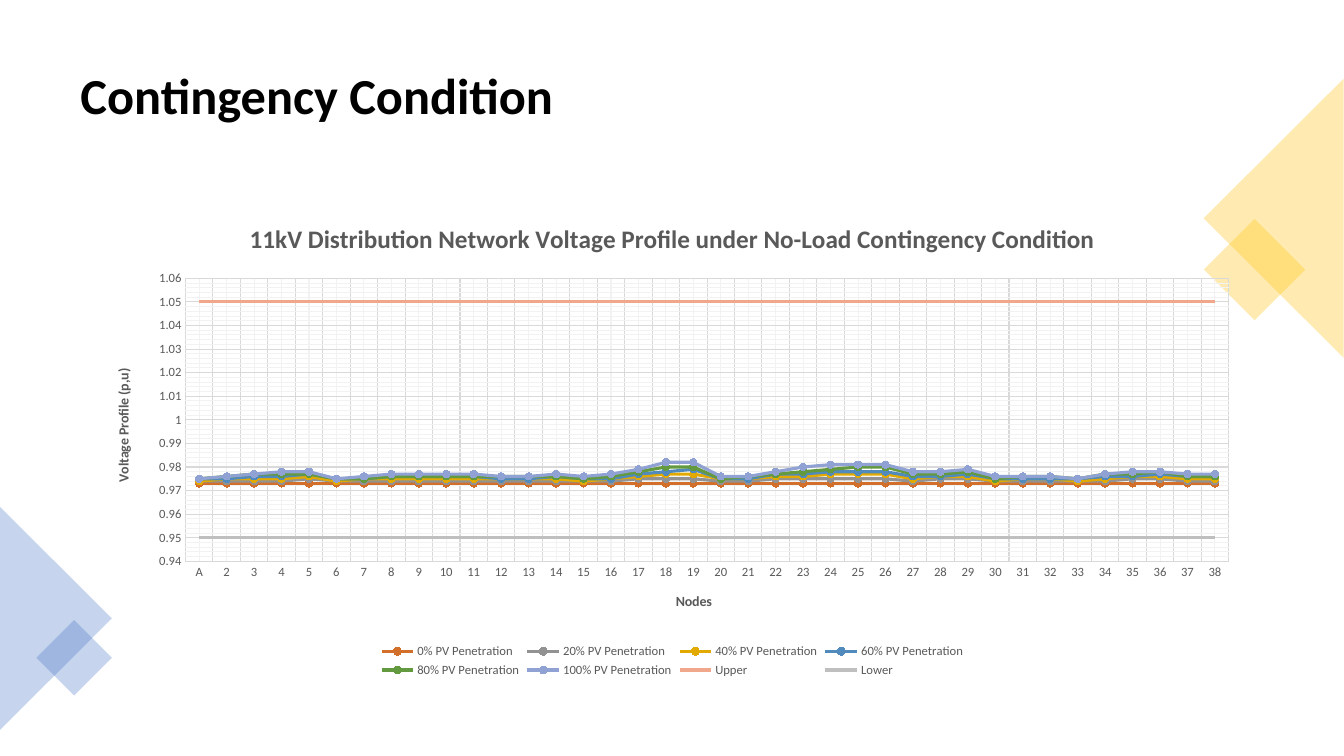
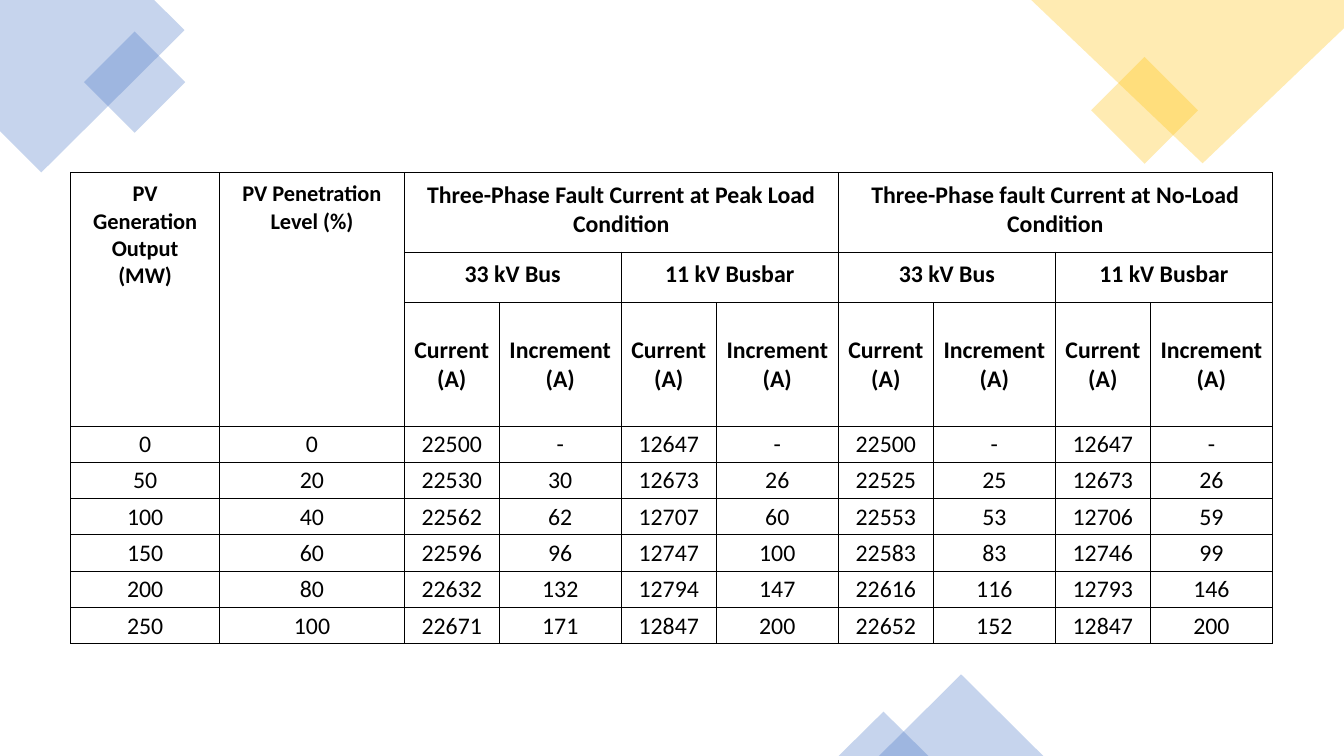
"""Build two slides on grid voltage and fault current under rising PV penetration."""
from pptx import Presentation
from pptx.chart.data import CategoryChartData
from pptx.dml.color import RGBColor
from pptx.enum.chart import XL_CHART_TYPE, XL_LEGEND_POSITION, XL_MARKER_STYLE, XL_TICK_MARK
from pptx.enum.shapes import MSO_SHAPE
from pptx.enum.text import MSO_ANCHOR, PP_ALIGN
from pptx.oxml import parse_xml
from pptx.oxml.ns import nsdecls, qn
from pptx.util import Inches, Pt

SQUARE, TRIANGLE = MSO_SHAPE.RECTANGLE, MSO_SHAPE.ISOSCELES_TRIANGLE
CIRCLE, NO_MARKER = XL_MARKER_STYLE.CIRCLE, XL_MARKER_STYLE.NONE
NO_TICK = XL_TICK_MARK.NONE
MIDDLE, TOP, CENTER = MSO_ANCHOR.MIDDLE, MSO_ANCHOR.TOP, PP_ALIGN.CENTER

BLACK = RGBColor(0x00, 0x00, 0x00)
GREY = RGBColor(0x59, 0x59, 0x59)
GRID_GREY = RGBColor(0xD9, 0xD9, 0xD9)
MINOR_GREY = RGBColor(0xF2, 0xF2, 0xF2)
BLUE = RGBColor(0x44, 0x72, 0xC4)
GOLD = RGBColor(0xFF, 0xC0, 0x00)
ORANGE = RGBColor(0xD2, 0x6F, 0x2B)
ASH = RGBColor(0x92, 0x92, 0x92)
AMBER = RGBColor(0xE2, 0xAA, 0x00)
STEEL = RGBColor(0x51, 0x8A, 0xBD)
GREEN = RGBColor(0x63, 0x9A, 0x3F)
LAVENDER = RGBColor(0x90, 0xA2, 0xD3)
SALMON = RGBColor(0xF1, 0xA7, 0x8B)
SILVER = RGBColor(0xBF, 0xBF, 0xBF)
FONT = "Calibri"

deck = Presentation()
deck.slide_width, deck.slide_height = Inches(13.333), Inches(7.5)
COLUMN, ROW = deck.slide_width / 100, deck.slide_height / 100


def place(left, top, *size):
    """Turn percentages of the slide, in x and y pairs, into lengths."""
    return [round(share * (ROW if i % 2 else COLUMN)) for i, share in enumerate((left, top, *size))]


def style(font, size, color, bold=False):
    """Set the whole look of a font."""
    font.name, font.size, font.bold = FONT, Pt(size), bold
    font.color.rgb = color


profile_slide, fault_slide = [deck.slides.add_slide(deck.slide_layouts[6]) for _ in range(2)]

corner_pieces = [
    (profile_slide, SQUARE, (90.68, 30.93, 5.33, 9.47), 45, GOLD),
    (profile_slide, TRIANGLE, (84.38, 19.6, 20.78, 18.53), 270, GOLD),
    (profile_slide, TRIANGLE, (-4.13, 74.4, 16.58, 14.8), 90, BLUE),
    (profile_slide, SQUARE, (3.53, 83.47, 3.98, 7.07), 45, BLUE),
    (fault_slide, SQUARE, (7.35, 6.13, 5.33, 9.47), 45, BLUE),
    (fault_slide, SQUARE, (82.35, 9.6, 5.63, 10), 45, GOLD),
    (fault_slide, TRIANGLE, (65.4, 89.2, 12.23, 10.8), 0, BLUE),
    (fault_slide, TRIANGLE, (62.4, 94.13, 6.68, 5.87), 0, BLUE),
]
cut_corners = [
    ([(0, 0), (11.48, 0), (13.73, 4), (3.08, 22.8), (0, 17.33)], BLUE),
    ([(100, 0), (76.73, 0), (89.48, 21.6), (100, 3.73)], GOLD),
]
decorations = []
for slide, outline, box, angle, color in corner_pieces:
    piece = slide.shapes.add_shape(outline, *place(*box))
    piece.rotation = angle
    decorations.append((piece, color))
for corners, color in cut_corners:
    start, *others = [place(*corner) for corner in corners]
    outline = fault_slide.shapes.build_freeform(*start)
    outline.add_line_segments(others, close=True)
    decorations.append((outline.convert_to_shape(), color))
for piece, color in decorations:
    piece.shadow.inherit = False
    piece.line.fill.background()
    piece.fill.solid()
    piece.fill.fore_color.rgb = color
    tint = piece.fill._xPr.find(qn("a:solidFill"))[0]
    tint.append(parse_xml(f'<a:alpha {nsdecls("a")} val="30000"/>'))

heading = profile_slide.shapes.add_textbox(*place(5.25, 4.67, 89.5, 16.53)).text_frame
heading.word_wrap = True
heading.vertical_anchor = MIDDLE
heading.paragraphs[0].line_spacing = 0.9
heading_run = heading.paragraphs[0].add_run()
heading_run.text = "Contingency Condition"
style(heading_run.font, 36, BLACK, True)

NODES = ["A"] + [str(node) for node in range(2, 39)]
voltages = [
    ("0% PV Penetration", ORANGE, [973] * len(NODES)),
    ("20% PV Penetration", ASH, [
        974, 974, 974, 974, 975, 974, 974, 974, 974, 974, 974, 974, 974,
        974, 974, 974, 975, 975, 975, 974, 974, 975, 975, 975, 975, 975,
        974, 975, 975, 974, 974, 974, 974, 974, 975, 975, 974, 974]),
    ("40% PV Penetration", AMBER, [
        974, 975, 975, 975, 976, 974, 975, 975, 975, 975, 975, 975, 975,
        975, 974, 975, 976, 977, 977, 975, 975, 976, 976, 977, 977, 977,
        975, 976, 976, 974, 975, 975, 974, 975, 976, 976, 975, 975]),
    ("60% PV Penetration", STEEL, [
        975, 975, 976, 976, 977, 975, 975, 976, 976, 976, 976, 975, 975,
        976, 975, 975, 977, 978, 979, 975, 975, 977, 977, 978, 978, 978,
        976, 976, 977, 975, 975, 975, 975, 976, 976, 977, 976, 976]),
    ("80% PV Penetration", GREEN, [
        975, 976, 977, 977, 977, 975, 975, 976, 976, 976, 976, 976, 976,
        976, 975, 976, 978, 980, 980, 975, 976, 977, 978, 979, 980, 980,
        977, 977, 978, 975, 976, 976, 975, 977, 977, 978, 976, 976]),
    ("100% PV Penetration", LAVENDER, [
        975, 976, 977, 978, 978, 975, 976, 977, 977, 977, 977, 976, 976,
        977, 976, 977, 979, 982, 982, 976, 976, 978, 980, 981, 981, 981,
        978, 978, 979, 976, 976, 976, 975, 977, 978, 978, 977, 977]),
    ("Upper", SALMON, [1050] * len(NODES)),
    ("Lower", SILVER, [950] * len(NODES)),
]
profile_data = CategoryChartData()
profile_data.categories = NODES
for name, _, thousandths in voltages:
    profile_data.add_series(name, [value / 1000 for value in thousandths])
profile = profile_slide.shapes.add_chart(
    XL_CHART_TYPE.LINE_MARKERS, *place(6.9, 26.67, 86.25, 63.47), profile_data).chart
style(profile.font, 10, GREY)

profile.has_legend = True
profile.legend.position = XL_LEGEND_POSITION.BOTTOM
profile.legend.include_in_layout = False
style(profile.legend.font, 9, GREY)

profile.has_title = True
node_axis, voltage_axis = profile.category_axis, profile.value_axis
for titled, wording, size in [
    (profile.chart_title, "11kV Distribution Network Voltage Profile under No-Load Contingency Condition", 18),
    (node_axis.axis_title, "Nodes", 10),
    (voltage_axis.axis_title, "Voltage Profile (p,u)", 10),
]:
    title_run = titled.text_frame.paragraphs[0].add_run()
    title_run.text = wording
    style(title_run.font, size, GREY, True)

for axis in (node_axis, voltage_axis):
    axis.major_tick_mark = axis.minor_tick_mark = NO_TICK
    axis.has_major_gridlines = axis.has_minor_gridlines = True
    style(axis.tick_labels.font, 9, GREY)
    for line in (axis.format.line, axis.major_gridlines.format.line):
        line.color.rgb = GRID_GREY
        line.width = Pt(0.75)
voltage_axis.format.line.fill.background()
voltage_axis.minimum_scale, voltage_axis.maximum_scale = 0.94, 1.06
voltage_axis.major_unit, voltage_axis.minor_unit = 0.01, 0.002
voltage_axis.tick_labels.number_format = "General"
voltage_axis.tick_labels.number_format_is_linked = False

for minor_grid in profile.element.xpath(".//c:minorGridlines"):
    minor_grid.append(parse_xml(
        f'<c:spPr {nsdecls("c", "a")}><a:ln w="{Pt(0.75)}"><a:solidFill>'
        f'<a:srgbClr val="{MINOR_GREY}"/></a:solidFill></a:ln></c:spPr>'))
plot_area = profile.element.xpath(".//c:plotArea")[0]
for automatic in plot_area.findall(qn("c:layout")):
    plot_area.remove(automatic)
plot_area.insert(0, parse_xml(
    f'<c:layout {nsdecls("c")}><c:manualLayout><c:layoutTarget val="inner"/>'
    '<c:xMode val="edge"/><c:yMode val="edge"/><c:x val="0.08"/><c:y val="0.16"/>'
    '<c:w val="0.9"/><c:h val="0.59"/></c:manualLayout></c:layout>'))

for curve, (name, color, _) in zip(profile.plots[0].series, voltages):
    curve.smooth = False
    curve.format.line.color.rgb = color
    curve.format.line.width = Pt(2.25)
    if name in ("Upper", "Lower"):
        curve.marker.style = NO_MARKER
        continue
    curve.marker.style, curve.marker.size = CIRCLE, 5
    curve.marker.format.fill.solid()
    curve.marker.format.fill.fore_color.rgb = color
    curve.marker.format.line.color.rgb = color

headers = [
    (0, 0, 3, 1, "PV Generation Output (MW)"),
    (0, 1, 3, 1, "PV Penetration Level (%)"),
    (0, 2, 1, 4, "Three-Phase Fault Current at Peak Load Condition"),
    (0, 6, 1, 4, "Three-Phase fault Current at No-Load Condition"),
]
for column in range(2, 10, 4):
    headers += [(1, column, 1, 2, "33 kV Bus"), (1, column + 2, 1, 2, "11 kV Busbar")]
for column in range(2, 10, 2):
    headers += [(2, column, 1, 1, "Current (A)"), (2, column + 1, 1, 1, "Increment (A)")]
fault_currents = [
    ("0", "0", "22500", "-", "12647", "-", "22500", "-", "12647", "-"),
    ("50", "20", "22530", "30", "12673", "26", "22525", "25", "12673", "26"),
    ("100", "40", "22562", "62", "12707", "60", "22553", "53", "12706", "59"),
    ("150", "60", "22596", "96", "12747", "100", "22583", "83", "12746", "99"),
    ("200", "80", "22632", "132", "12794", "147", "22616", "116", "12793", "146"),
    ("250", "100", "22671", "171", "12847", "200", "22652", "152", "12847", "200"),
]
entries = headers + [
    (row, column, 1, 1, reading)
    for row, readings in enumerate(fault_currents, 3)
    for column, reading in enumerate(readings)
]
widths = [11.1, 13.73] + [7.07, 9.08] * 4
heights = [10.53, 6.67, 8.53] + [4.8] * len(fault_currents)
faults = fault_slide.shapes.add_table(
    len(heights), len(widths), *place(5.25, 22.8, sum(widths), sum(heights))).table
faults.first_row = faults.horz_banding = False
for column, width in zip(faults.columns, widths):
    column.width = round(width * COLUMN)
for row, height in zip(faults.rows, heights):
    row.height = round(height * ROW)

for cell in faults.iter_cells():
    borders = cell._tc.get_or_add_tcPr()
    for side in "LRTB":
        borders.append(parse_xml(
            f'<a:ln{side} {nsdecls("a")} w="{Pt(0.5)}"><a:solidFill>'
            f'<a:srgbClr val="{BLACK}"/></a:solidFill></a:ln{side}>'))
    cell.fill.background()

for row, column, tall, wide, wording in entries:
    cell = faults.cell(row, column)
    if tall * wide > 1:
        cell.merge(faults.cell(row + tall - 1, column + wide - 1))
    grouped = row < 2
    cell.vertical_anchor = TOP if grouped else MIDDLE
    cell.margin_left = cell.margin_right = Inches(0.16 if grouped else 0.01)
    cell.margin_top = Inches(0.08 if grouped else 0.01)
    cell.margin_bottom = Inches(0.08 if grouped else 0)
    paragraph = cell.text_frame.paragraphs[0]
    paragraph.alignment = CENTER
    entry_run = paragraph.add_run()
    entry_run.text = wording
    style(entry_run.font, 16 if tall > 1 else 17, BLACK, row < 3)

deck.save("out.pptx")
